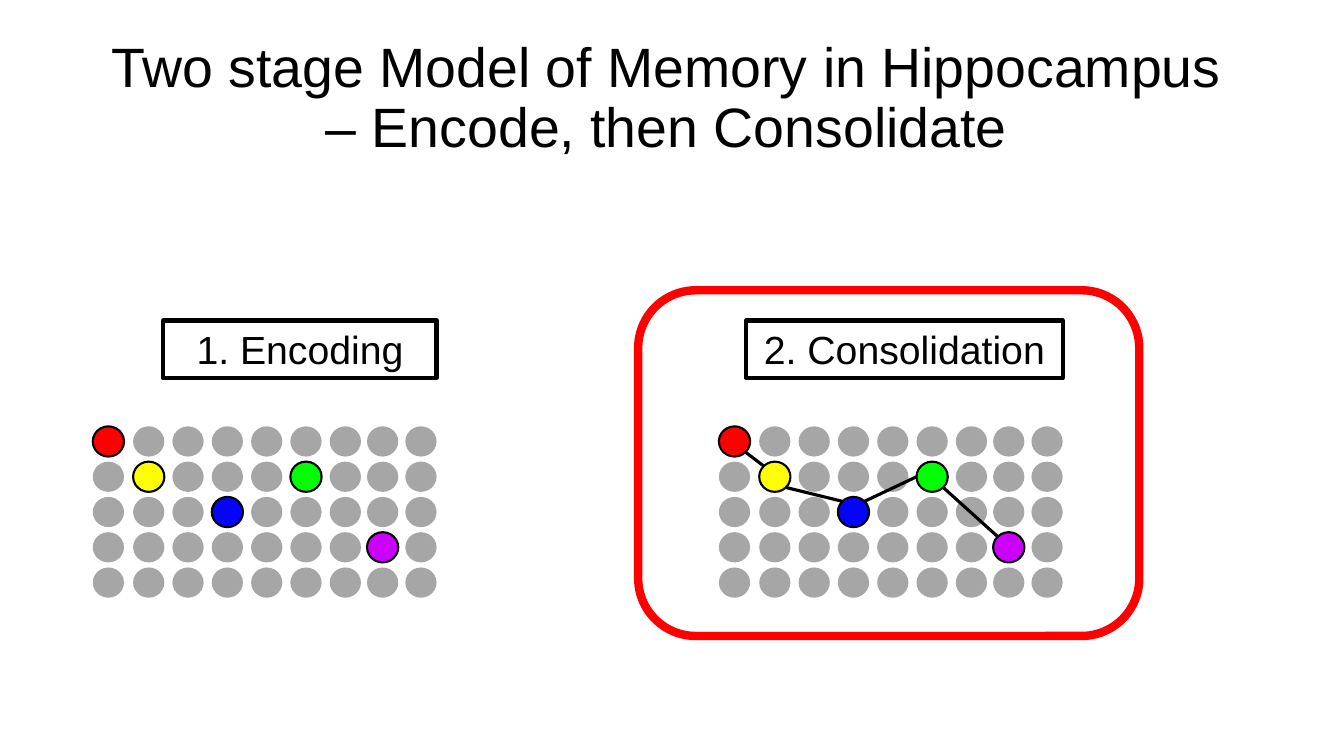
from dataclasses import dataclass
from math import sqrt

from lxml.etree import SubElement
from pptx import Presentation
from pptx.dml.color import RGBColor
from pptx.enum.shapes import MSO_CONNECTOR as Connector, MSO_SHAPE as Preset
from pptx.enum.text import MSO_ANCHOR as Anchor, PP_ALIGN as Align
from pptx.oxml.ns import qn
from pptx.util import Inches, Pt


@dataclass(frozen=True)
class Theme:
    font: str = "Arial"
    ink: str = "000000"
    resting: str = "A6A6A6"
    highlight: str = "FF0000"
    title_size: float = 39.6
    label_size: float = 28
    label_line: float = 3
    cell_line: float = 1.5
    link_line: float = 2.25
    frame_line: float = 6


THEME = Theme()

# Content
TITLE = "Two stage Model of Memory in Hippocampus – Encode, then Consolidate"
TITLE_BOX = (0.86, 0.26, 11.5, 1.45)
STAGES = [  # label, label box, left edge of the cell field, cells linked
    ("1. Encoding", (1.62, 3.18, 2.71, 0.57), 0.92, False),
    ("2. Consolidation", (7.4, 3.18, 3.14, 0.57), 7.13, True),
]
ACTIVE_CELLS = {  # (column, row): colour
    (0, 0): "FF0000",
    (1, 1): "FFFF00",
    (3, 2): "0303FF",
    (5, 1): "00FF00",
    (7, 3): "CC00FF",
}
DIAGONAL = 1 / sqrt(2)
LINKS = [  # cell, side it leaves from, cell, side it reaches
    ((0, 0), (DIAGONAL, DIAGONAL), (1, 1), (-DIAGONAL, -DIAGONAL)),
    ((1, 1), (DIAGONAL, DIAGONAL), (3, 2), (-DIAGONAL, -DIAGONAL)),
    ((5, 1), (-1, 0), (3, 2), (DIAGONAL, -DIAGONAL)),
    ((5, 1), (DIAGONAL, DIAGONAL), (7, 3), (-DIAGONAL, -DIAGONAL)),
]
FRAME_BOX = (6.33, 2.88, 4.97, 3.43)

# Cell field: uneven columns, even rows
COLUMN_OFFSETS = (0, 0.4, 0.79, 1.18, 1.57, 1.96, 2.35, 2.72, 3.1)
ROWS, FIELD_TOP, ROW_PITCH = 5, 4.23, 0.35
CELL_WIDTH, CELL_HEIGHT = 0.31, 0.3


def colour(code):
    return RGBColor.from_string(code)


def add_shape(host, preset, box, fill=None, line=None, width=0):
    shape = host.shapes.add_shape(preset, *map(Inches, box))
    shape.shadow.inherit = False
    if fill:
        shape.fill.solid()
        shape.fill.fore_color.rgb = colour(fill)
    else:
        shape.fill.background()
    if line:
        shape.line.color.rgb = colour(line)
        shape.line.width = Pt(width)
    else:
        shape.line.fill.background()
    return shape


def write(shape, text, size):
    frame = shape.text_frame
    frame.word_wrap = True
    frame.vertical_anchor = Anchor.MIDDLE
    frame.text = text
    para = frame.paragraphs[0]
    para.alignment = Align.CENTER
    para.font.name = THEME.font
    para.font.size = Pt(size)
    para.font.color.rgb = colour(THEME.ink)
    return para


def cell_box(left, cell):
    column, row = cell
    return (left + COLUMN_OFFSETS[column], FIELD_TOP + row * ROW_PITCH,
            CELL_WIDTH, CELL_HEIGHT)


def rim_point(left, cell, side):
    x, y, width, height = cell_box(left, cell)
    return (Inches(x + width / 2 * (1 + side[0])),
            Inches(y + height / 2 * (1 + side[1])))


def add_cells(page, left):
    resting = page.shapes.add_group_shape()
    for row in range(ROWS):
        for column in range(len(COLUMN_OFFSETS)):
            if (column, row) not in ACTIVE_CELLS:
                add_shape(resting, Preset.OVAL, cell_box(left, (column, row)), THEME.resting)
    active = page.shapes.add_group_shape()
    for cell, fill in ACTIVE_CELLS.items():
        add_shape(active, Preset.OVAL, cell_box(left, cell), fill, THEME.ink, THEME.cell_line)


def add_links(page, left):
    group = page.shapes.add_group_shape()
    for start, start_side, end, end_side in LINKS:
        link = group.shapes.add_connector(
            Connector.STRAIGHT,
            *rim_point(left, start, start_side), *rim_point(left, end, end_side))
        link.line.color.rgb = colour(THEME.ink)
        link.line.width = Pt(THEME.link_line)
        SubElement(link._element.spPr, qn("a:effectLst"))


def main():
    deck = Presentation()
    deck.slide_width, deck.slide_height = Inches(13.33), Inches(7.5)
    page = deck.slides.add_slide(deck.slide_layouts[6])

    # Title
    title = page.shapes.add_textbox(*map(Inches, TITLE_BOX))
    write(title, TITLE, THEME.title_size).line_spacing = 0.9

    # Two stages
    for label, label_box, left, linked in STAGES:
        box = add_shape(page, Preset.RECTANGLE, label_box, None, THEME.ink, THEME.label_line)
        write(box, label, THEME.label_size)
        add_cells(page, left)
        if linked:
            add_links(page, left)

    # Frame around the second stage
    add_shape(page, Preset.ROUNDED_RECTANGLE, FRAME_BOX, None, THEME.highlight, THEME.frame_line)

    deck.save("out.pptx")


if __name__ == "__main__":
    main()
